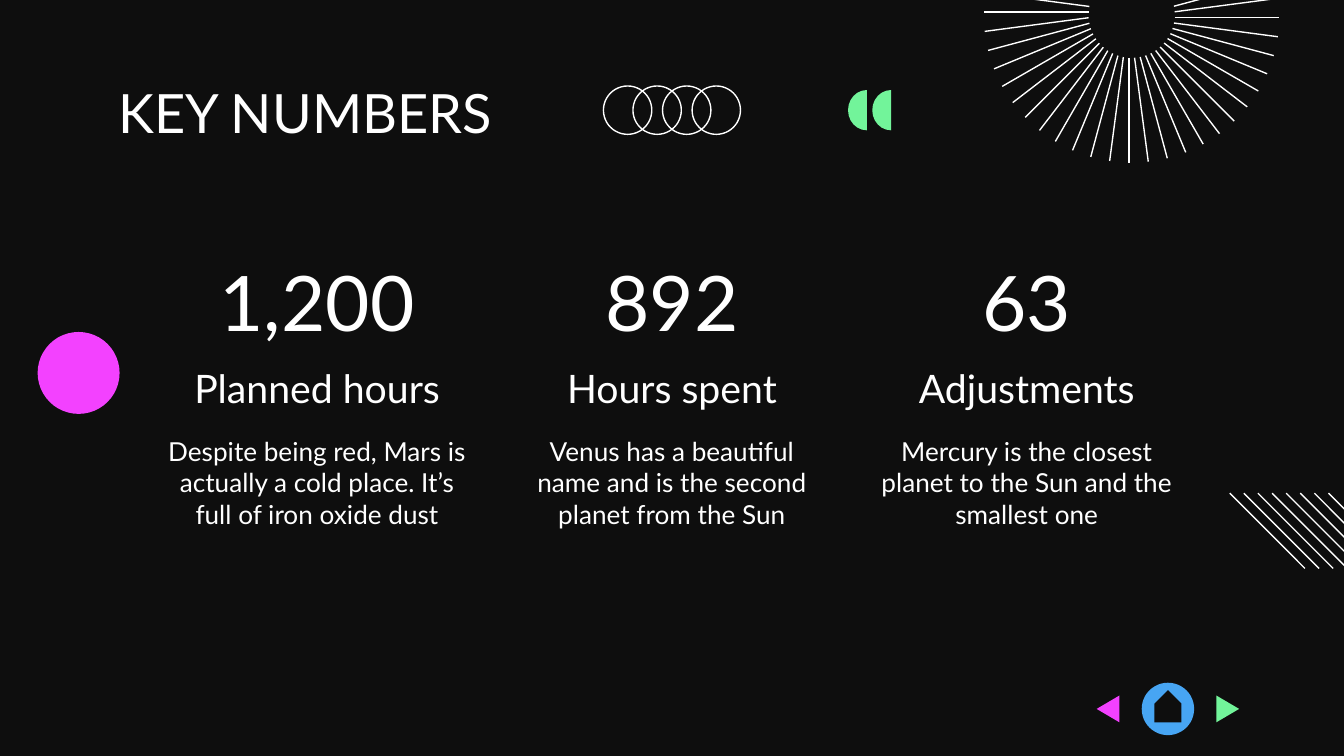
from math import cos, radians, sin

from lxml import etree
from pptx import Presentation
from pptx.dml.color import RGBColor
from pptx.enum.shapes import MSO_CONNECTOR as CONN, MSO_SHAPE as SHAPE
from pptx.enum.text import MSO_ANCHOR as ANCHOR, MSO_AUTO_SIZE as AUTO, PP_ALIGN as ALIGN
from pptx.oxml.ns import qn
from pptx.util import Inches, Pt

FONT = "Lato"
DARK, WHITE = "0E0E0E", "FFFFFF"
PINK, GREEN, BLUE = "F341FF", "72F49A", "47A5F3"


def rgb(value):
    return RGBColor.from_string(value)


def paint(sp, fill=None, line=None):
    sp.shadow.inherit = False
    if fill:
        sp.fill.solid()
        sp.fill.fore_color.rgb = rgb(fill)
    else:
        sp.fill.background()
    if line:
        sp.line.color.rgb = rgb(line)
        sp.line.width = Pt(0.75)
    else:
        sp.line.fill.background()
    return sp


def add_shape(slide, kind, x, y, w, h, fill=None, line=None):
    sp = slide.shapes.add_shape(kind, Inches(x), Inches(y), Inches(w), Inches(h))
    return paint(sp, fill, line)


def add_line(slide, x1, y1, x2, y2):
    ln = slide.shapes.add_connector(
        CONN.STRAIGHT, Inches(x1), Inches(y1), Inches(x2), Inches(y2))
    ln.line.color.rgb = rgb(WHITE)
    ln.line.width = Pt(0.75)
    etree.SubElement(ln._element.spPr, qn("a:effectLst"))


def add_polygon(slide, points, fill):
    start, *rest = [(Inches(x), Inches(y)) for x, y in points]
    fb = slide.shapes.build_freeform(*start)
    fb.add_line_segments(rest)
    return paint(fb.convert_to_shape(), fill)


def write(sp, text, size, align=ALIGN.LEFT, top=0.1):
    tf = sp.text_frame
    tf.word_wrap = True
    tf.auto_size = AUTO.NONE
    tf.vertical_anchor = ANCHOR.TOP
    tf.margin_left = tf.margin_right = tf.margin_bottom = Inches(0.1)
    tf.margin_top = Inches(top)
    p = tf.paragraphs[0]
    p.alignment = align
    r = p.add_run()
    r.text = text
    r.font.name = FONT
    r.font.size = Pt(size)
    r.font.color.rgb = rgb(WHITE)


def place_title(slide, x, y, w, h, text):
    sp = slide.shapes.title
    sp.left, sp.top, sp.width, sp.height = map(Inches, (x, y, w, h))
    write(sp, text, 29, top=0)


def key_number(slide, x, y, w, number, label, detail):
    rows = [
        (number, 0, 0.57, 41, 0),
        (label, 0.71, 0.39, 21, 0.1),
        (detail, 1.24, 0.85, 14, 0.1),
    ]
    for text, dy, h, size, top in rows:
        box = slide.shapes.add_textbox(Inches(x), Inches(y + dy), Inches(w), Inches(h))
        write(box, text, size, ALIGN.CENTER, top)


def sunburst(slide, cx, cy, inner, outer, shift):
    for i in range(28):
        a = radians(-15 + 7.5 * i)
        ox, oy = cx - shift * sin(a), cy + shift * cos(a)
        add_line(slide, ox + inner * cos(a), oy + inner * sin(a),
                 ox + outer * cos(a), oy + outer * sin(a))


def hatching(slide, x, y, size, gap, count):
    for i in range(count):
        left = x + i * gap
        add_line(slide, left, y, left + size, y + size)


def ring_chain(slide, x, y, size, step, count):
    for i in range(count):
        add_shape(slide, SHAPE.OVAL, x + i * step, y, size, size, line=WHITE)


def half_discs(slide, x, y, w, h, step, count):
    for i in range(count):
        sp = add_shape(slide, SHAPE.CHORD, x + i * step, y, w, h, GREEN)
        sp.adjustments[0] = 54
        sp.adjustments[1] = 162


def navigation(slide, x, y, w, h):
    mid, cx = y + h / 2, x + w / 2
    add_shape(slide, SHAPE.OVAL, cx - h / 2, y, h, h, BLUE)
    home = add_shape(slide, SHAPE.PENTAGON, cx - 0.12, mid - 0.12, 0.24, 0.2, DARK)
    home.rotation = 270
    for tip, base, fill in ((x, x + 0.17, PINK), (x + w, x + w - 0.17, GREEN)):
        add_polygon(slide, [(base, mid - 0.1), (tip, mid), (base, mid + 0.1)], fill)


def main():
    prs = Presentation()
    prs.slide_width = Inches(10)
    prs.slide_height = prs.slide_width * 9 // 16
    slide = prs.slides.add_slide(prs.slide_layouts[5])
    slide.background.fill.solid()
    slide.background.fill.fore_color.rgb = rgb(DARK)

    hatching(slide, 9.15, 3.67, 0.56, 0.105, 8)
    add_shape(slide, SHAPE.OVAL, 0.28, 2.47, 0.61, 0.61, PINK)
    place_title(slide, 0.78, 0.59, 8.44, 0.46, "KEY NUMBERS")
    sunburst(slide, 8.42, 0.11, 0.32, 1.1, 0.02)

    numbers = [
        ("1,200", "Planned hours",
         "Despite being red, Mars is actually a cold place. It’s full of iron oxide dust"),
        ("892", "Hours spent",
         "Venus has a beautiful name and is the second planet from the Sun"),
        ("63", "Adjustments",
         "Mercury is the closest planet to the Sun and the smallest one"),
    ]
    for i, (number, label, detail) in enumerate(numbers):
        key_number(slide, 1.11 + 2.64 * i, 1.9, 2.5, number, label, detail)

    half_discs(slide, 6.31, 0.67, 0.28, 0.3, 0.18, 2)
    ring_chain(slide, 4.49, 0.64, 0.36, 0.22, 4)
    navigation(slide, 8.16, 5.08, 1.06, 0.39)
    prs.save("out.pptx")


if __name__ == "__main__":
    main()
